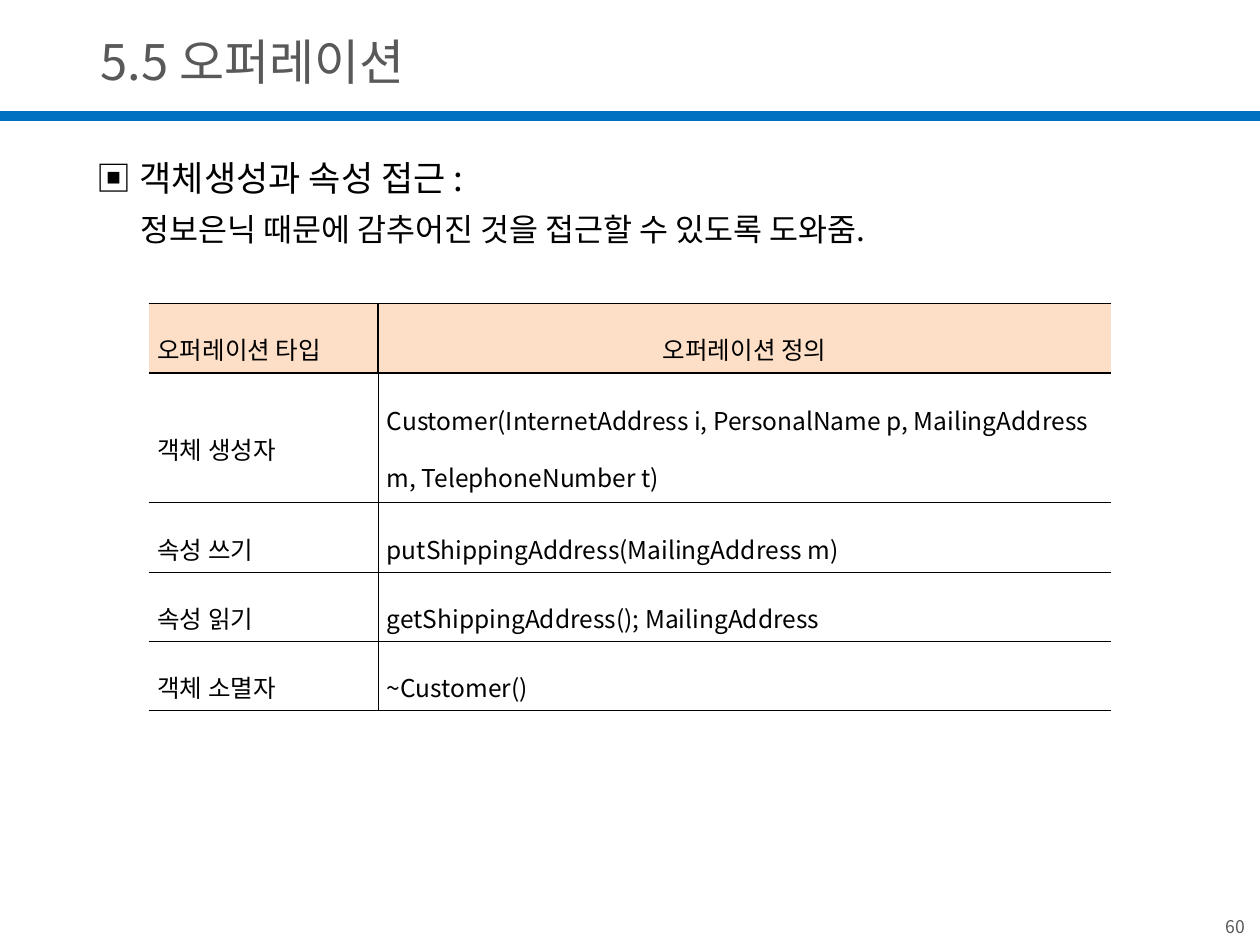
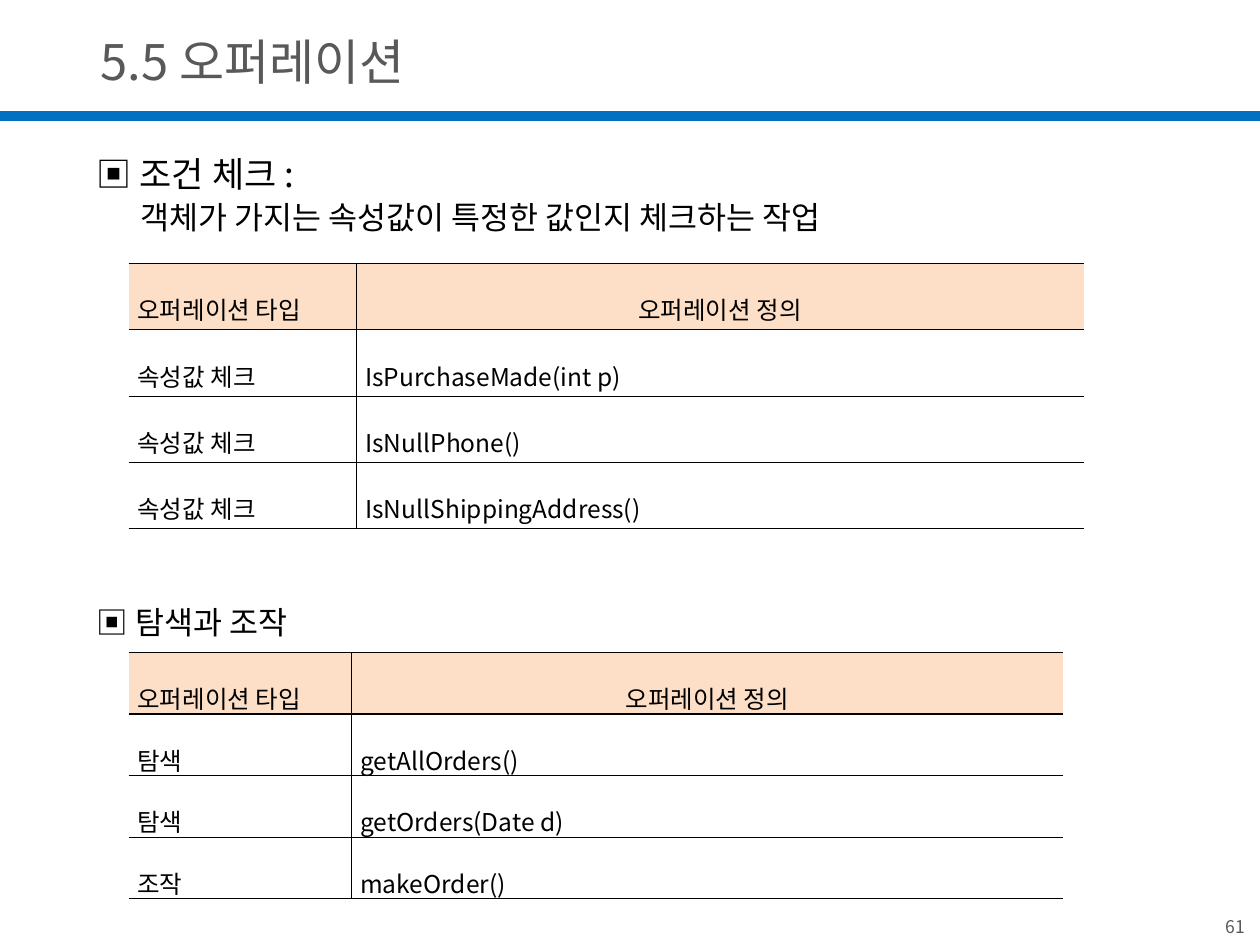
"""Builds two lecture slides on class operations, with their tables."""
from lxml.etree import SubElement
from pptx import Presentation
from pptx.dml.color import RGBColor
from pptx.enum.shapes import MSO_CONNECTOR
from pptx.enum.text import MSO_ANCHOR, PP_ALIGN
from pptx.oxml.ns import qn
from pptx.util import Inches, Pt

FONT = "Noto Sans CJK KR"
BLACK, GREY, BLUE, PEACH = "000000", "595959", "0070C0", "FDDFC7"
NO_TABLE_STYLE = "{2D5ABB26-0587-4C30-8999-92F81FD0307C}"
TITLE = "5.5 오퍼레이션"
HEADER = ("오퍼레이션 타입", "오퍼레이션 정의")

deck = Presentation()
deck.slide_width, deck.slide_height = Inches(10), Inches(7.5)
column, row = deck.slide_width / 100, deck.slide_height / 75


def paint(target, color):
    """Give a fill, or the fill of a line, one solid colour."""
    target.solid()
    target.fore_color.rgb = RGBColor.from_string(color)


def write(paragraph, text, size, color=BLACK, **formats):
    """Fill a paragraph with one run in the deck's font."""
    run = paragraph.add_run()
    run.text = text
    run.font.size, run.font.name = Pt(size), FONT
    paint(run.font.fill, color)
    SubElement(run.font._element, qn("a:ea"), typeface=FONT)
    for name, value in formats.items():
        setattr(paragraph, name, value)


pages = [
    {
        "number": "60",
        "topics": [
            (11.3, 10, 1.2, [("▣ 객체생성과 속성 접근 :", 20),
                             ("정보은닉 때문에 감추어진 것을 접근할 수 있도록 도와줌.", 18)]),
        ],
        "tables": [
            ((11.8, 24.1), (18.2, 58.2), (5.5, 10.3, 5.5, 5.5, 5.5), [
                ("객체 생성자", "Customer(InternetAddress i, PersonalName p, "
                               "MailingAddress m, TelephoneNumber t)"),
                ("속성 쓰기", "putShippingAddress(MailingAddress m)"),
                ("속성 읽기", "getShippingAddress(); MailingAddress"),
                ("객체 소멸자", "~Customer()"),
            ]),
        ],
    },
    {
        "number": "61",
        "topics": [
            (11.6, 9, 1.0, [("▣ 조건 체크 :", 20),
                            ("객체가 가지는 속성값이 특정한 값인지 체크하는 작업", 18)]),
            (47.4, 4.6, 1.0, [("▣ 탐색과 조작", 18)]),
        ],
        "tables": [
            ((10.2, 20.9), (18.1, 57.7), (5.27,) * 4, [
                ("속성값 체크", "IsPurchaseMade(int p)"),
                ("속성값 체크", "IsNullPhone()"),
                ("속성값 체크", "IsNullShippingAddress()"),
            ]),
            ((10.2, 51.8), (17.7, 56.5), (4.88,) * 4, [
                ("탐색", "getAllOrders()"),
                ("탐색", "getOrders(Date d)"),
                ("조작", "makeOrder()"),
            ]),
        ],
    },
]

for page in pages:
    slide = deck.slides.add_slide(deck.slide_layouts[6])

    band = slide.shapes.add_connector(
        MSO_CONNECTOR.STRAIGHT, 0, round(9.2 * row), deck.slide_width, round(9.2 * row))
    band.line.width = Pt(6)
    paint(band.line.fill, BLUE)
    SubElement(band._element.spPr, qn("a:effectLst"))

    blocks = [((6.7, top, 85.5, height), lines, BLACK,
               {"line_spacing": spacing, "alignment": PP_ALIGN.LEFT})
              for top, height, spacing, lines in page["topics"]]
    blocks += [
        ((7, 2, 85, 6.5), [(TITLE, 28)], GREY, {"alignment": PP_ALIGN.LEFT}),
        ((91.4, 72.2, 8.4, 2.1), [(page["number"], 10)], GREY, {"alignment": PP_ALIGN.RIGHT}),
    ]
    for (left, top, width, height), lines, color, formats in blocks:
        frame = slide.shapes.add_textbox(
            round(left * column), round(top * row),
            round(width * column), round(height * row)).text_frame
        frame.word_wrap = True
        for index, (text, size) in enumerate(lines):
            paragraph = frame.add_paragraph() if index else frame.paragraphs[0]
            write(paragraph, text, size, color, **formats)
            if index:
                paragraph.space_before = Pt(2)
                paragraph._p.get_or_add_pPr().set("marL", str(Inches(0.35)))

    for (left, top), widths, heights, operations in page["tables"]:
        table = slide.shapes.add_table(
            len(heights), len(widths), round(left * column), round(top * row),
            round(sum(widths) * column), round(sum(heights) * row)).table
        table.first_row = table.horz_banding = False
        table._tbl.tblPr.find(qn("a:tableStyleId")).text = NO_TABLE_STYLE
        for index, width in enumerate(widths):
            table.columns[index].width = round(width * column)
        for r, (height, texts) in enumerate(zip(heights, [HEADER] + operations)):
            table.rows[r].height = round(height * row)
            for c, text in enumerate(texts):
                cell = table.cell(r, c)
                cell.vertical_anchor = MSO_ANCHOR.MIDDLE
                cell.margin_left = cell.margin_right = Inches(0.07)
                cell.margin_top = cell.margin_bottom = Inches(0.05)
                alignment = {(0, 1): PP_ALIGN.CENTER, (1, 1): PP_ALIGN.LEFT}.get(
                    (r, c), PP_ALIGN.JUSTIFY)
                write(cell.text_frame.paragraphs[0], text, 14,
                      alignment=alignment, line_spacing=1.6)
                inner_side = "a:lnL" if c else "a:lnR"
                thickness = {inner_side: 0.57 if r else 0.85,
                             "a:lnT": 0.57 if r > 1 else 0.85,
                             "a:lnB": 0.57 if r else 0.85}
                for side, points in thickness.items():
                    edge = SubElement(cell._tc.get_or_add_tcPr(), qn(side), w=str(Pt(points)))
                    SubElement(SubElement(edge, qn("a:solidFill")), qn("a:srgbClr"), val=BLACK)
                if r:
                    cell.fill.background()
                else:
                    paint(cell.fill, PEACH)

deck.save("out.pptx")
